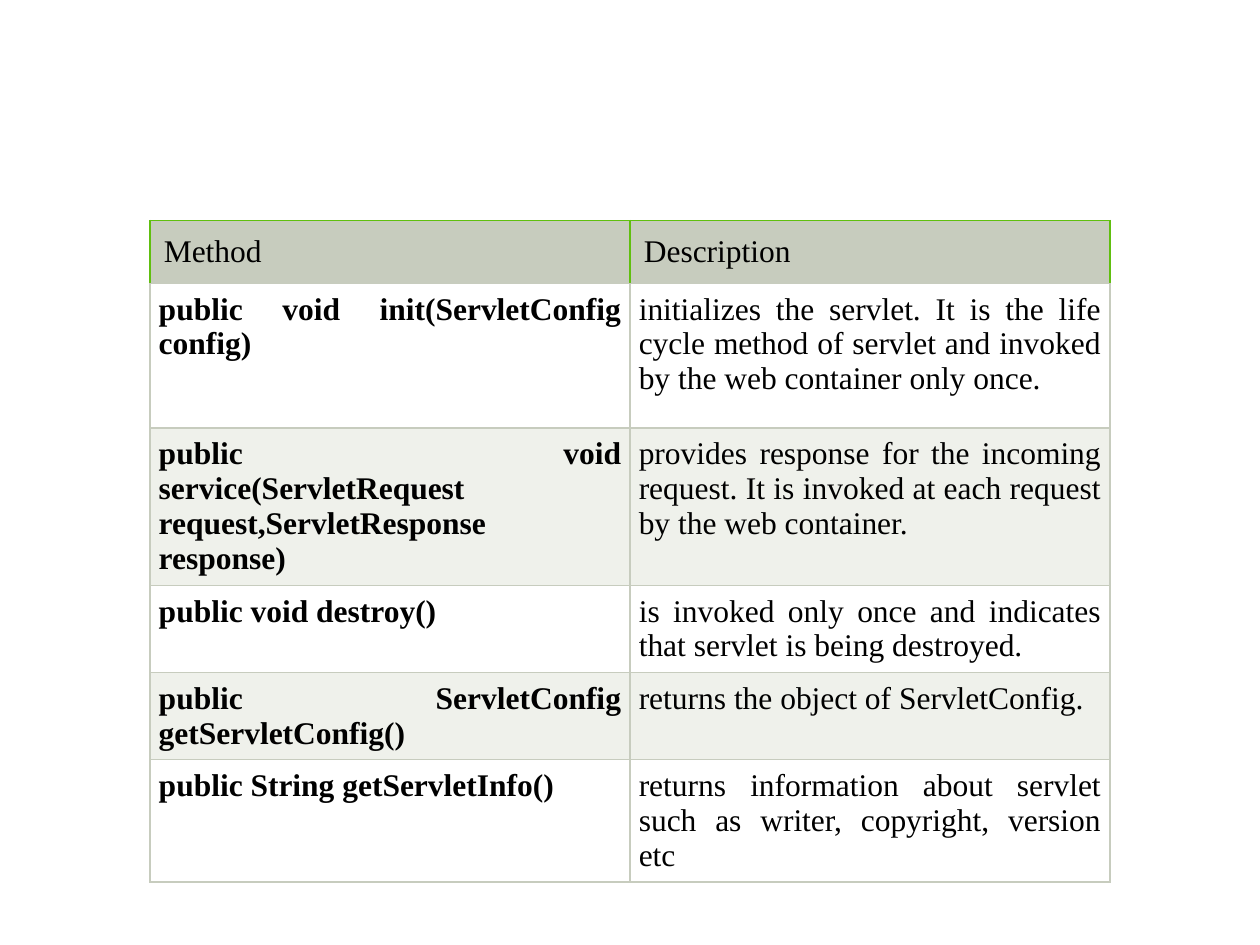
"""Build a slide with a table of servlet methods and their descriptions."""
from dataclasses import dataclass

import lxml.etree
import pptx
import pptx.dml.color
import pptx.enum.text
import pptx.oxml.ns
import pptx.table
import pptx.util

RGBColor = pptx.dml.color.RGBColor
Inches = pptx.util.Inches
qn = pptx.oxml.ns.qn

SAGE = RGBColor(0xC7, 0xCC, 0xBE)
PALE_SAGE = RGBColor(0xEF, 0xF1, 0xEB)
GREEN = RGBColor(0x60, 0xBF, 0x0F)
WHITE = RGBColor(0xFF, 0xFF, 0xFF)
BLACK = RGBColor(0x00, 0x00, 0x00)
FONT = "Times New Roman"
COLUMN_WIDTH = 3.81


@dataclass
class MethodRow:
    method: str
    description: str
    height: float


@dataclass
class CellStyle:
    fill: RGBColor
    margin: float
    edge: RGBColor
    align: pptx.enum.text.PP_ALIGN
    bold: bool = False


ROWS = [
    MethodRow("Method", "Description", 0.46),
    MethodRow("public void init(ServletConfig config)",
              "initializes the servlet. It is the life cycle method of servlet "
              "and invoked by the web container only once.", 1.15),
    MethodRow("public void service(ServletRequest request,ServletResponse response)",
              "provides response for the incoming request. It is invoked at each "
              "request by the web container.", 1.15),
    MethodRow("public void destroy()",
              "is invoked only once and indicates that servlet is being destroyed.",
              0.64),
    MethodRow("public ServletConfig getServletConfig()",
              "returns the object of ServletConfig.", 0.64),
    MethodRow("public String getServletInfo()",
              "returns information about servlet such as writer, copyright, "
              "version etc", 0.9),
]


def set_border(cell: pptx.table._Cell, side: str, color: RGBColor) -> None:
    """Draw one edge of a cell as a thin solid line."""
    ln = lxml.etree.SubElement(cell._tc.get_or_add_tcPr(), qn(f"a:ln{side}"),
                               w=str(pptx.util.Pt(0.75)))
    fill = lxml.etree.SubElement(ln, qn("a:solidFill"))
    lxml.etree.SubElement(fill, qn("a:srgbClr"), val=str(color))


def fill_cell(cell: pptx.table._Cell, text: str, style: CellStyle) -> None:
    """Write and format one table cell."""
    for side in "LRT":
        set_border(cell, side, style.edge)
    set_border(cell, "B", SAGE)
    cell.fill.solid()
    cell.fill.fore_color.rgb = style.fill
    cell.margin_left = cell.margin_right = Inches(style.margin)
    cell.margin_top = cell.margin_bottom = Inches(style.margin)
    cell.text_frame.text = text
    p = cell.text_frame.paragraphs[0]
    p.alignment = style.align
    font = p.runs[0].font
    font.name = FONT
    font.size = pptx.util.Pt(18)
    font.bold = style.bold
    font.color.rgb = BLACK


def row_style(index: int, bold: bool) -> CellStyle:
    """Return the header style or the banded body style."""
    align = pptx.enum.text.PP_ALIGN
    if index == 0:
        return CellStyle(SAGE, 0.11, GREEN, align.LEFT)
    return CellStyle(WHITE if index % 2 else PALE_SAGE, 0.07, SAGE,
                     align.JUSTIFY, bold)


def add_method_table(s: pptx.slide.Slide) -> None:
    """Add the table of methods to the slide."""
    height = sum(row.height for row in ROWS)
    table = s.shapes.add_table(len(ROWS), 2, Inches(1.19), Inches(1.75),
                               Inches(2 * COLUMN_WIDTH), Inches(height)).table
    table.horz_banding = False
    for column in table.columns:
        column.width = Inches(COLUMN_WIDTH)
    for i, row in enumerate(ROWS):
        table.rows[i].height = Inches(row.height)
        fill_cell(table.cell(i, 0), row.method, row_style(i, True))
        fill_cell(table.cell(i, 1), row.description, row_style(i, False))


def main() -> None:
    """Create and save the presentation."""
    prs = pptx.Presentation()
    prs.slide_width = Inches(10)
    prs.slide_height = Inches(7.5)
    s = prs.slides.add_slide(prs.slide_layouts[6])
    add_method_table(s)
    prs.save("out.pptx")


if __name__ == "__main__":
    main()
